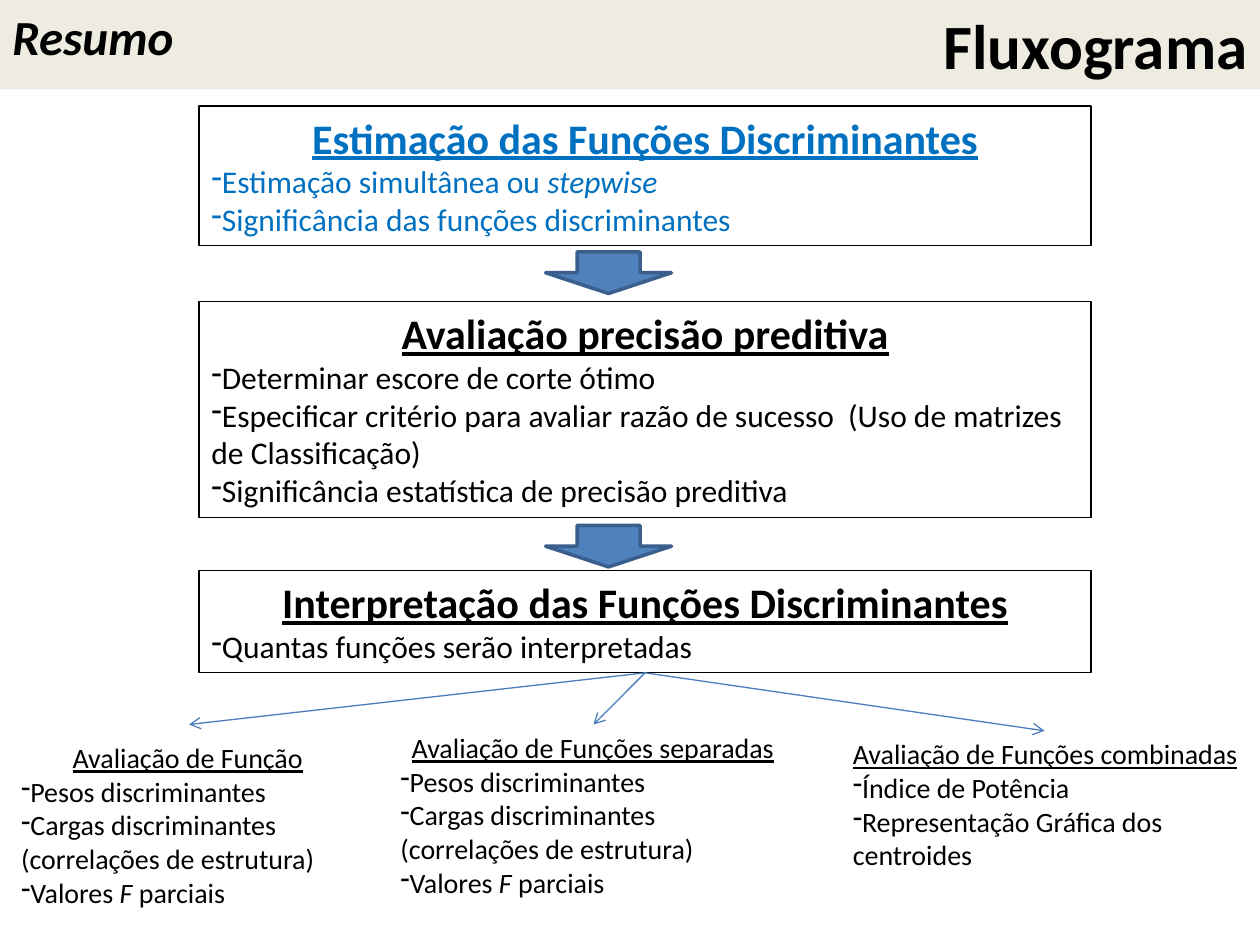
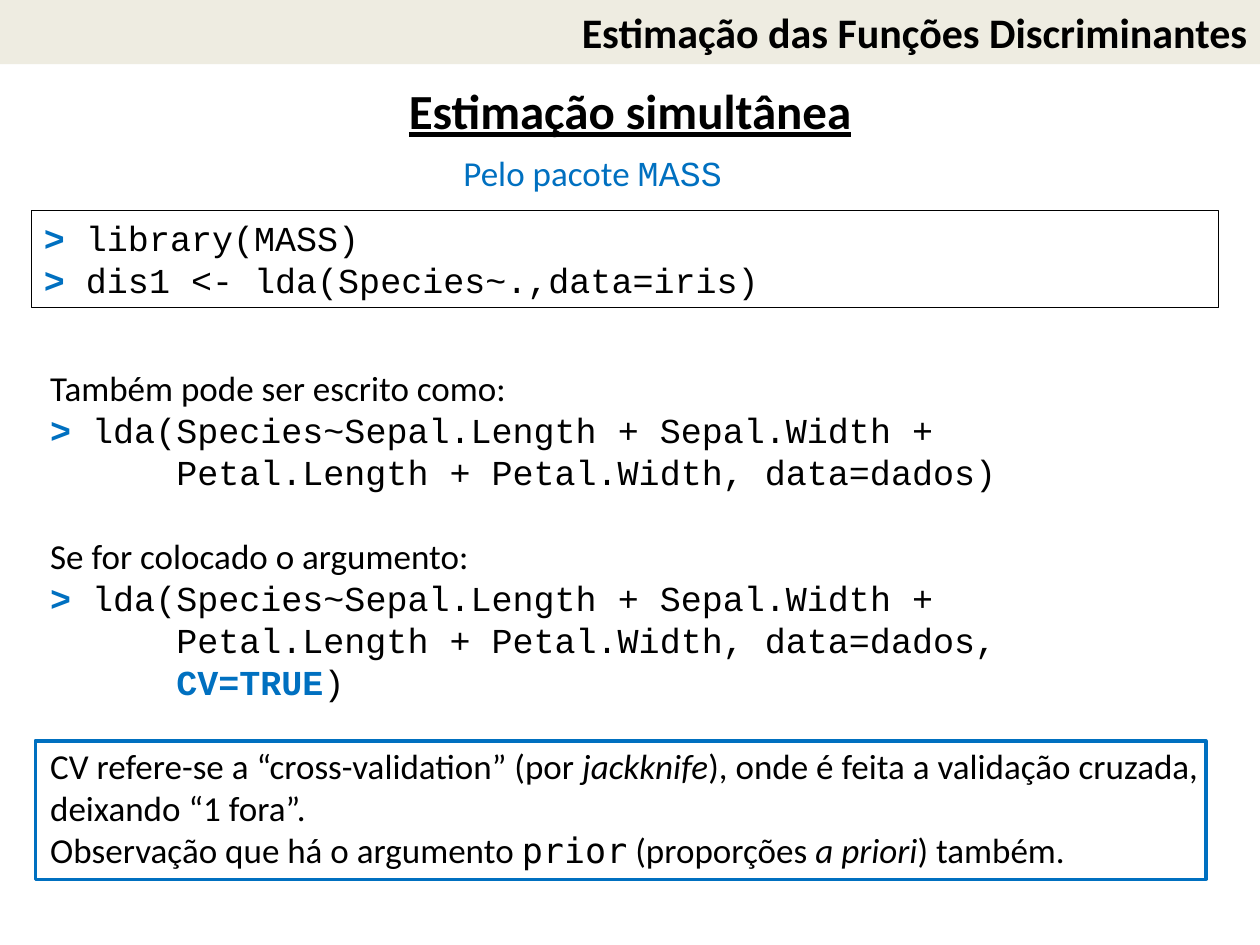
from dataclasses import dataclass
from typing import NamedTuple

from lxml import etree
from pptx import Presentation
from pptx import util as u
from pptx.dml.color import RGBColor
from pptx.enum import shapes, text
from pptx.oxml.ns import qn

EMU_PER_PX = 9144  # 100 px to the inch


@dataclass(frozen=True)
class Theme:
    band: str = "EEECE1"
    ink: str = "000000"
    accent: str = "0070C0"
    arrow: str = "4F81BD"
    arrow_edge: str = "3A5F8C"
    branch: str = "4B7EBC"
    body: str = "Calibri"
    code: str = "Courier New"
    mono: str = "DejaVu Sans Mono"
    banner: int = 36
    title: int = 28
    heading: int = 24
    text: int = 20
    item: int = 18
    small: int = 16
    hairline: float = 0.75
    outline: float = 2


THEME = Theme()
LEFT, CENTER, RIGHT = text.PP_ALIGN.LEFT, text.PP_ALIGN.CENTER, text.PP_ALIGN.RIGHT


class Area(NamedTuple):
    left: int
    top: int
    width: int
    height: int


class Run(NamedTuple):
    text: str
    bold: bool = False
    italic: bool = False
    underline: bool = False
    color: str | None = None
    font: str | None = None


@dataclass(frozen=True)
class Para:
    runs: tuple[Run, ...]
    size: int
    align: text.PP_ALIGN = LEFT
    dash: bool = False
    before: int = 0


@dataclass(frozen=True)
class Topic:
    """A heading with dashed items below it."""
    area: Area
    heading: str
    items: tuple[tuple[Run, ...], ...]
    color: str = THEME.ink


def px(value: int) -> int:
    return u.Emu(value * EMU_PER_PX)


def rgb(value: str) -> RGBColor:
    return RGBColor.from_string(value)


# Drawing functions
def write(shape, paras: list[Para], *, color: str = THEME.ink, font: str = THEME.body) -> None:
    frame = shape.text_frame
    frame.word_wrap = True
    frame.auto_size = text.MSO_AUTO_SIZE.SHAPE_TO_FIT_TEXT
    frame.vertical_anchor = text.MSO_ANCHOR.TOP
    for index, para in enumerate(paras):
        line = frame.paragraphs[0] if index == 0 else frame.add_paragraph()
        line.alignment = para.align
        if para.before:
            line.space_before = u.Pt(para.before)
        if para.dash:
            props = line._p.get_or_add_pPr()
            etree.SubElement(props, qn("a:buFontTx"))
            etree.SubElement(props, qn("a:buChar")).set("char", "-")
        for part in para.runs:
            run = line.add_run()
            run.text = part.text
            run.font.size = u.Pt(para.size)
            run.font.name = part.font or font
            run.font.bold = part.bold
            run.font.italic = part.italic
            run.font.underline = part.underline
            run.font.color.rgb = rgb(part.color or color)


def draw_shape(slide, kind: shapes.MSO_SHAPE, area: Area, *, fill: str | None = None,
               line: str | None = None, weight: float = THEME.hairline):
    shape = slide.shapes.add_shape(kind, *map(px, area))
    shape.shadow.inherit = False
    if fill:
        shape.fill.solid()
        shape.fill.fore_color.rgb = rgb(fill)
    else:
        shape.fill.background()
    if line:
        shape.line.color.rgb = rgb(line)
        shape.line.width = u.Pt(weight)
    else:
        shape.line.fill.background()
    return shape


def draw_box(slide, area: Area, **style):
    return draw_shape(slide, shapes.MSO_SHAPE.RECTANGLE, area, **style)


def draw_text(slide, area: Area, paras: list[Para], **style) -> None:
    write(slide.shapes.add_textbox(*map(px, area)), paras, **style)


def draw_band(slide, title: str, height: int, size: int) -> None:
    band = draw_box(slide, Area(0, 0, 1000, height), fill=THEME.band)
    write(band, [Para((Run(title, bold=True),), size, RIGHT)])


def topic_paras(topic: Topic, heading_size: int, item_size: int, bold: bool) -> list[Para]:
    heading = Run(topic.heading, bold=bold, underline=True)
    return [Para((heading,), heading_size, CENTER),
            *(Para(item, item_size, dash=True) for item in topic.items)]


def draw_branch(slide, source, end: tuple[int, int]) -> None:
    branch = slide.shapes.add_connector(shapes.MSO_CONNECTOR.STRAIGHT, 0, 0, *map(px, end))
    branch.begin_connect(source, 2)
    branch.line.color.rgb = rgb(THEME.branch)
    branch.line.width = u.Pt(THEME.hairline)
    etree.SubElement(branch.line._get_or_add_ln(), qn("a:tailEnd")).set("type", "arrow")
    etree.SubElement(branch._element.spPr, qn("a:effectLst"))


# Content of the flowchart
STEP_LEFT, STEP_WIDTH = 158, 708
STEPS = (
    Topic(Area(STEP_LEFT, 84, STEP_WIDTH, 111), "Estimação das Funções Discriminantes", (
        (Run("Estimação simultânea ou "), Run("stepwise", italic=True)),
        (Run("Significância das funções discriminantes"),),
    ), THEME.accent),
    Topic(Area(STEP_LEFT, 239, STEP_WIDTH, 172), "Avaliação precisão preditiva", (
        (Run("Determinar escore de corte ótimo"),),
        (Run("Especificar critério para avaliar razão de sucesso  "
             "(Uso de matrizes de Classificação)"),),
        (Run("Significância estatística de precisão preditiva"),),
    )),
    Topic(Area(STEP_LEFT, 453, STEP_WIDTH, 81), "Interpretação das Funções Discriminantes", (
        (Run("Quantas funções serão interpretadas"),),
    )),
)
WEIGHTS_AND_LOADINGS = (
    (Run("Pesos discriminantes"),),
    (Run("Cargas discriminantes (correlações de estrutura)"),),
    (Run("Valores "), Run("F", italic=True), Run(" parciais")),
)
OUTCOMES = (
    Topic(Area(7, 583, 284, 145), "Avaliação de Função", WEIGHTS_AND_LOADINGS),
    Topic(Area(308, 575, 325, 172), "Avaliação de Funções separadas", WEIGHTS_AND_LOADINGS),
    Topic(Area(667, 580, 325, 145), "Avaliação de Funções combinadas", (
        (Run("Índice de Potência"),),
        (Run("Representação Gráfica dos centroides"),),
    )),
)
BRANCH_ENDS = ((150, 575), (471, 575), (829, 580))
ARROW_TOPS = (200, 417)


def build_flowchart(slide) -> None:
    draw_band(slide, "Fluxograma", 71, THEME.banner)
    draw_text(slide, Area(0, 0, 200, 57),
              [Para((Run("Resumo", bold=True, italic=True),), THEME.title)])

    # Steps from top to bottom
    for step in STEPS:
        step_box = draw_box(slide, step.area, line=THEME.ink)
        write(step_box, topic_paras(step, THEME.heading, THEME.item, True), color=step.color)
    for top in ARROW_TOPS:
        draw_shape(slide, shapes.MSO_SHAPE.DOWN_ARROW, Area(433, top, 100, 33),
                   fill=THEME.arrow, line=THEME.arrow_edge, weight=THEME.outline)

    # Outcomes of the last step
    for outcome, end in zip(OUTCOMES, BRANCH_ENDS):
        draw_text(slide, outcome.area, topic_paras(outcome, THEME.small, THEME.small, False))
        draw_branch(slide, step_box, end)


# Content of the estimation slide
def prose(*runs: Run, before: int = 0) -> Para:
    return Para(runs, THEME.text, before=before)


def code(line: str) -> Para:
    return prose(Run(line, font=THEME.code))


def command(line: str) -> Para:
    prompt = Run("> ", bold=True, color=THEME.accent, font=THEME.code)
    return prose(prompt, Run(line, font=THEME.code))


BLANK_LINE = 24
FORMULA = command("lda(Species~Sepal.Length + Sepal.Width +")
EXPLANATION = [
    prose(Run("Também pode ser escrito como:")),
    FORMULA,
    code("      Petal.Length + Petal.Width, data=dados)"),
    prose(Run("Se for colocado o argumento:"), before=BLANK_LINE),
    FORMULA,
    code("      Petal.Length + Petal.Width, data=dados,"),
    prose(Run("      CV=TRUE", bold=True, color=THEME.accent, font=THEME.code),
          Run(")", font=THEME.code)),
    prose(Run("CV refere-se a “cross-validation” (por "), Run("jackknife", italic=True),
          Run("), onde é feita a validação cruzada, deixando “1 fora”."), before=BLANK_LINE),
    prose(Run("Observação que há o argumento "), Run("prior", font=THEME.mono),
          Run(" (proporções "), Run("a priori", italic=True), Run(") também.")),
]


def build_estimation(slide) -> None:
    draw_band(slide, "Estimação das Funções Discriminantes", 51, THEME.heading)
    draw_text(slide, Area(0, 59, 1000, 57),
              [Para((Run("Estimação simultânea", bold=True, underline=True),),
                    THEME.title, CENTER)])

    # Package and its call
    call_box = draw_box(slide, Area(25, 167, 942, 77), line=THEME.ink)
    write(call_box, [command("library(MASS)"), command("dis1 <- lda(Species~.,data=iris)")])
    draw_text(slide, Area(358, 115, 243, 44),
              [prose(Run("Pelo pacote "), Run("MASS", font=THEME.code))], color=THEME.accent)

    # Alternative calls, with the closing remark framed
    draw_text(slide, Area(30, 286, 943, 414), EXPLANATION)
    draw_box(slide, Area(28, 588, 929, 110), line=THEME.accent, weight=THEME.outline)


def main() -> None:
    deck = Presentation()
    deck.slide_width, deck.slide_height = px(1000), px(750)
    blank = deck.slide_layouts[6]
    for build in (build_flowchart, build_estimation):
        build(deck.slides.add_slide(blank))
    deck.save("out.pptx")


if __name__ == "__main__":
    main()
